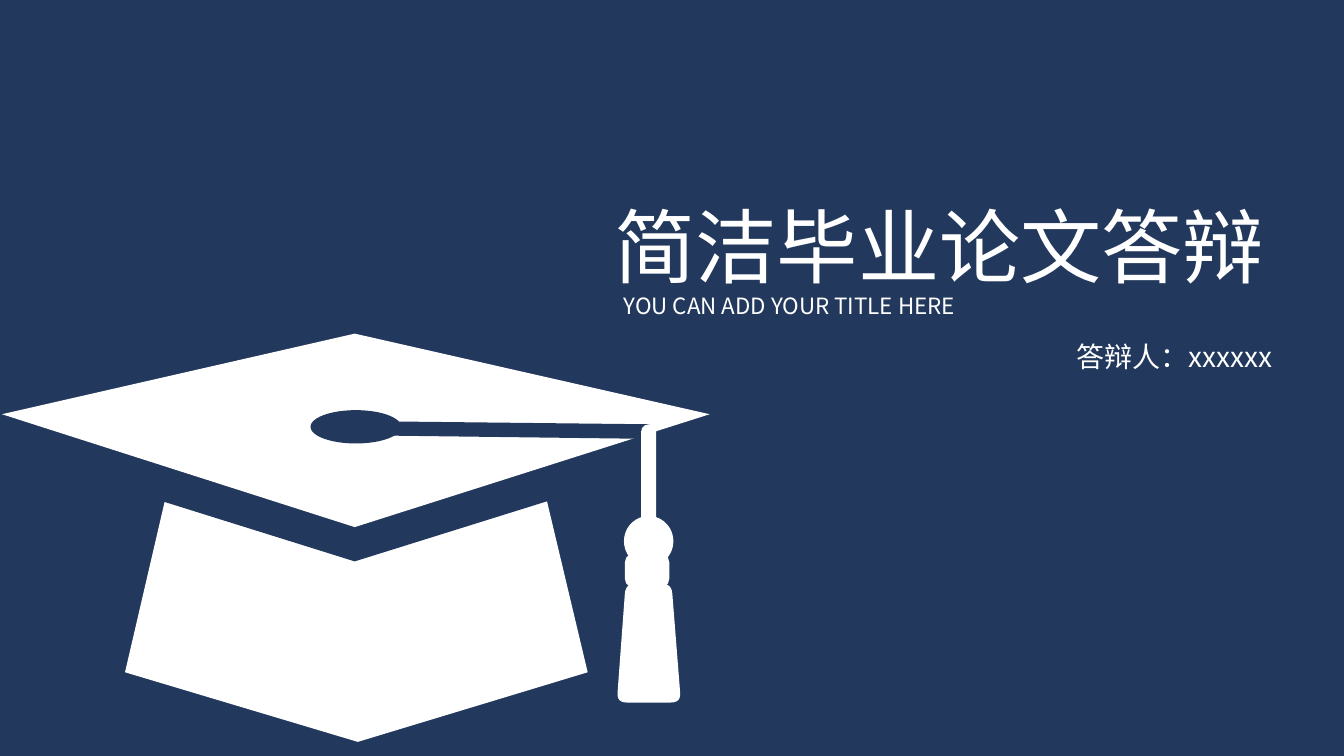
from lxml import etree
from pptx import Presentation
from pptx.dml.color import RGBColor
from pptx.enum.shapes import MSO_SHAPE as SHAPE
from pptx.enum.text import MSO_AUTO_SIZE as FIT, PP_ALIGN as ALIGN
from pptx.oxml.ns import qn
from pptx.util import Pt

NAVY, WHITE = "22385C", "FFFFFF"
FONT = "Noto Sans CJK SC"


def paint(fill, color):
    fill.solid()
    fill.fore_color.rgb = RGBColor.from_string(color)


def finish(sp, color):
    """Give a shape a flat fill without line or shadow."""
    paint(sp.fill, color)
    sp.line.fill.background()
    sp.shadow.inherit = False


def add_preset(s, kind, x, y, w, h, color, corner=None):
    sp = s.shapes.add_shape(kind, Pt(x), Pt(y), Pt(w), Pt(h))
    if corner is not None:
        sp.adjustments[0] = corner
    finish(sp, color)


def add_polygon(s, x, y, points, color):
    """Draw a closed outline whose points are relative to (x, y)."""
    pts = [(Pt(x + px), Pt(y + py)) for px, py in points]
    builder = s.shapes.build_freeform(*pts[0])
    builder.add_line_segments(pts[1:], close=True)
    finish(builder.convert_to_shape(), color)


def round_corners(points, radius, steps=6):
    """Replace each corner with short segments along a quadratic curve."""
    outline = []
    for i, (cx, cy) in enumerate(points):
        ends = []
        for nx, ny in (points[i - 1], points[(i + 1) % len(points)]):
            k = radius / ((nx - cx) ** 2 + (ny - cy) ** 2) ** 0.5
            ends.append((cx + k * (nx - cx), cy + k * (ny - cy)))
        (ax, ay), (bx, by) = ends
        for step in range(steps + 1):
            t = step / steps
            a, c, b = (1 - t) ** 2, 2 * t * (1 - t), t ** 2
            outline.append((a * ax + c * cx + b * bx, a * ay + c * cy + b * by))
    return outline


def add_tassel(s, x, y):
    add_preset(s, SHAPE.ROUNDED_RECTANGLE, x + 17.3, y, 10.8, 76.3, WHITE, 0.5)
    add_preset(s, SHAPE.OVAL, x + 5.1, y + 65.5, 35.3, 36, WHITE)
    fringe = [(6.3, 113.8), (39.1, 113.8), (45.8, 198.7), (0, 198.7)]
    add_polygon(s, x, y, round_corners(fringe, 7), WHITE)
    add_preset(s, SHAPE.ROUNDED_RECTANGLE, x + 5.8, y + 92.2, 31.7, 24.5, WHITE, 0.26)


def add_cap(s, x, y):
    """Draw the graduation cap with its top left corner at (x, y)."""
    mid, right, side = 253.4, 506.9, 57.6
    base = [(419.8, 241.9), (255.6, 291.6), (89.3, 241.9), (123.1, 96.5), (385.2, 96.5)]
    edge = [(right, side), (mid, 0), (0, side), (0, 83.5), (mid, 162.7), (right, 83.5)]
    board = [(mid, 138.2), (1.4, side), (mid, 0), (right, side)]
    strap = [(246, 62.4), (464, 64.8), (464, 75.2), (246, 72.5)]
    for points, color in ((base, WHITE), (edge, NAVY), (board, WHITE), (strap, NAVY)):
        add_polygon(s, x, y, points, color)
    add_tassel(s, x + 440.6, y + 64.8)
    add_preset(s, SHAPE.OVAL, x + 221.8, y + 54.7, 64.8, 23.8, NAVY)


def add_text(s, x, y, w, h, text, size, align=ALIGN.JUSTIFY):
    tf = s.shapes.add_textbox(Pt(x), Pt(y), Pt(w), Pt(h)).text_frame
    tf.word_wrap = True
    tf.auto_size = FIT.SHAPE_TO_FIT_TEXT
    p = tf.paragraphs[0]
    p.text = text
    p.alignment = align
    font = p.font
    font.size = Pt(size)
    font.name = FONT
    font.color.rgb = RGBColor.from_string(WHITE)
    defaults = p._p.pPr.find(qn("a:defRPr"))
    etree.SubElement(defaults, qn("a:ea")).set("typeface", FONT)


def add_titles(s, x, y):
    add_text(s, x, y, 486.7, 79.9, "简洁毕业论文答辩", 58)
    add_text(s, x + 6.5, y + 68.4, 475.2, 26.6, "YOU CAN ADD YOUR TITLE HERE", 16)
    add_text(s, x + 306, y + 102.2, 177.8, 31, "答辩人：xxxxxx", 20, ALIGN.RIGHT)


def main():
    prs = Presentation()
    prs.slide_width, prs.slide_height = Pt(960), Pt(540)
    s = prs.slides.add_slide(prs.slide_layouts[6])
    paint(s.background.fill, NAVY)
    add_cap(s, 0, 238.3)
    add_titles(s, 432, 136.8)
    prs.save("out.pptx")


if __name__ == "__main__":
    main()
